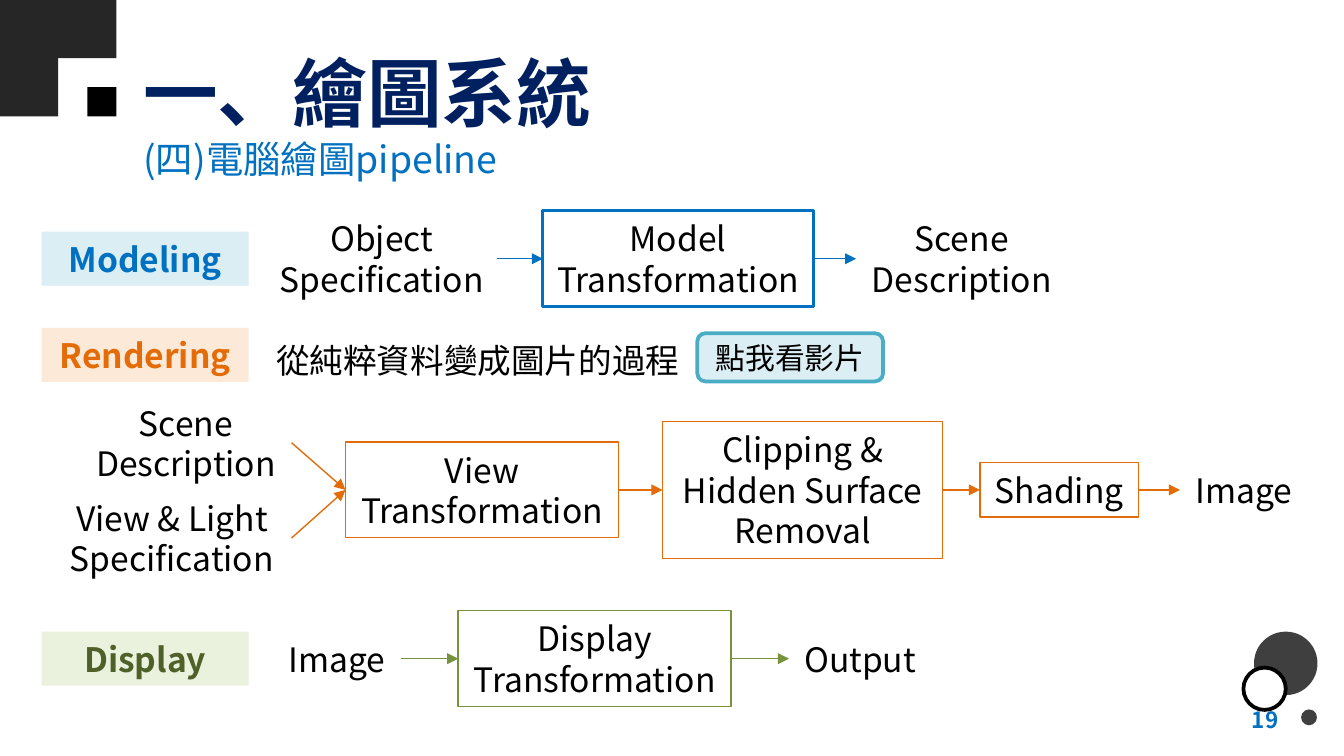
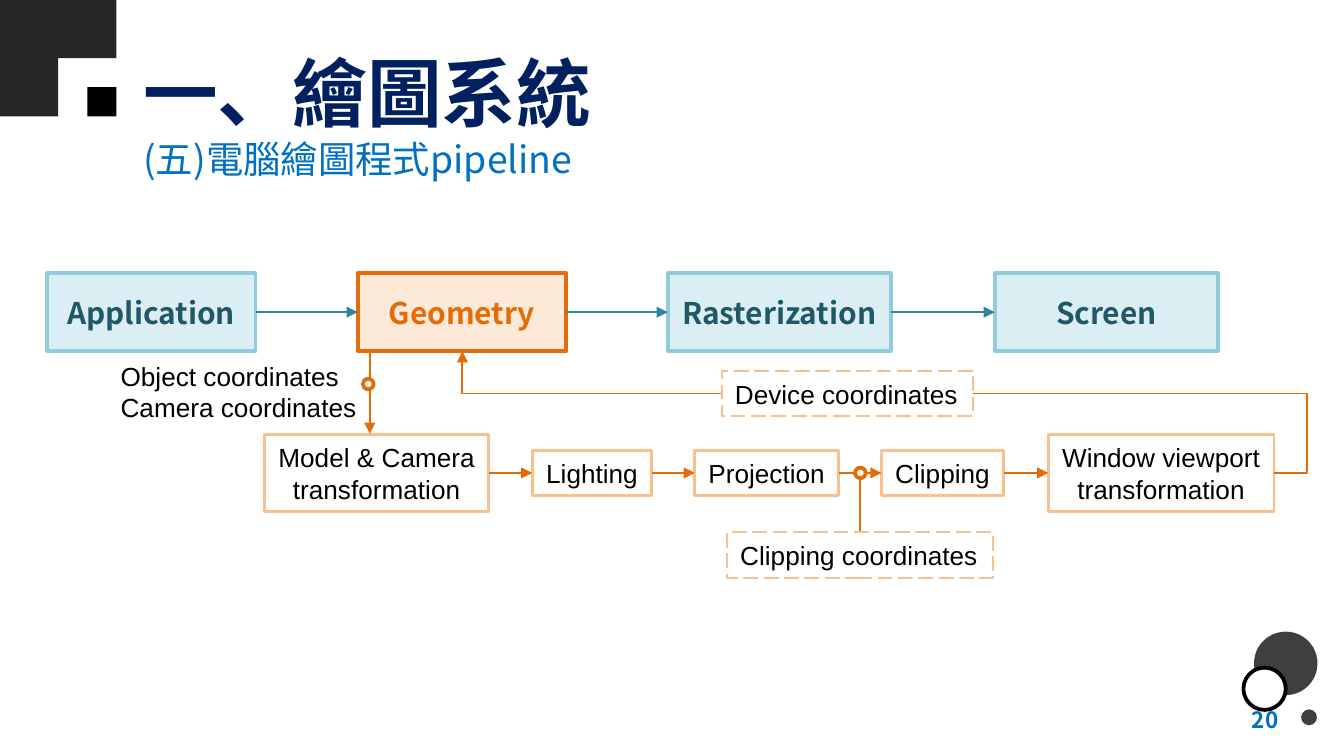
import dataclasses
from typing import NamedTuple, Optional

import pptx
import pptx.dml.color
import pptx.enum.dml
import pptx.enum.shapes
import pptx.enum.text
import pptx.oxml.ns
import pptx.oxml.xmlchemy
import pptx.util
from lxml import etree

Cm, Pt = pptx.util.Cm, pptx.util.Pt
SHAPE = pptx.enum.shapes.MSO_SHAPE
CONNECTOR = pptx.enum.shapes.MSO_CONNECTOR
ALIGN = pptx.enum.text.PP_ALIGN
qn = pptx.oxml.ns.qn


@dataclasses.dataclass(frozen=True)
class Theme:
    cjk: str = "Noto Sans CJK TC"
    cjk_button: str = "Noto Sans CJK SC"
    latin: str = "Arial"
    title_size: float = 40
    subtitle_size: float = 20
    body_size: float = 18
    stage_size: float = 16
    step_size: float = 14
    page_size: float = 12
    navy: str = "002060"
    blue: str = "0070C0"
    black: str = "000000"
    white: str = "FFFFFF"
    block: str = "262626"
    disc: str = "3F3F3F"
    orange: str = "E36C09"
    orange_mid: str = "FABF8E"
    orange_pale: str = "FDE9D8"
    green: str = "76923C"
    green_dark: str = "4F6128"
    green_pale: str = "EAF1DD"
    teal: str = "31859B"
    teal_dark: str = "205867"
    teal_mid: str = "92CCDC"
    teal_pale: str = "DAEEF3"
    button: str = "DBEEF4"
    button_line: str = "4BACC6"


T = Theme()


@dataclasses.dataclass(frozen=True)
class Box:
    """A rectangle in centimetres with optional text, fill and outline."""
    x: float
    y: float
    w: float
    h: float
    text: str = ""
    fill: Optional[str] = None
    line: Optional[str] = None
    width: float = 0.75
    dashed: bool = False
    kind: SHAPE = SHAPE.RECTANGLE
    size: float = T.body_size
    font: str = T.cjk
    color: str = T.black
    bold: bool = False
    align: ALIGN = ALIGN.CENTER
    wrap: bool = False


class Node(NamedTuple):
    """One stop of a left-to-right flow."""
    text: str
    x: float
    w: float
    boxed: bool = True


def rgb(color: str) -> pptx.dml.color.RGBColor:
    return pptx.dml.color.RGBColor.from_string(color)


def draw_text(sp, box: Box) -> None:
    tf = sp.text_frame
    tf.text = box.text
    tf.word_wrap = box.wrap
    tf.vertical_anchor = pptx.enum.text.MSO_ANCHOR.MIDDLE
    for p in tf.paragraphs:
        p.alignment = box.align
        if len(tf.paragraphs) > 1 and box.font == T.cjk:
            p.line_spacing = Pt(1.2 * box.size)
        for r in p.runs:
            r.font.size = Pt(box.size)
            r.font.bold = box.bold
            r.font.color.rgb = rgb(box.color)
            r.font.name = box.font
            etree.SubElement(r.font._element, qn("a:ea"), typeface=box.font)


def draw_box(s, box: Box):
    frame = Cm(box.x), Cm(box.y), Cm(box.w), Cm(box.h)
    if not (box.fill or box.line):
        sp = s.shapes.add_textbox(*frame)
    else:
        sp = s.shapes.add_shape(box.kind, *frame)
        sp.shadow.inherit = False
        if box.fill:
            sp.fill.solid()
            sp.fill.fore_color.rgb = rgb(box.fill)
        else:
            sp.fill.background()
        if box.line:
            sp.line.color.rgb = rgb(box.line)
            sp.line.width = Pt(box.width)
            if box.dashed:
                sp.line.dash_style = pptx.enum.dml.MSO_LINE.LONG_DASH
        else:
            sp.line.fill.background()
    if box.text:
        draw_text(sp, box)
    return sp


def style_line(c, color: str, width: float, end: str) -> None:
    c.line.color.rgb = rgb(color)
    c.line.width = Pt(width)
    props = c._element.spPr
    if end:
        etree.SubElement(props.find(qn("a:ln")), qn("a:" + end), type="triangle")
    etree.SubElement(props, qn("a:effectLst"))


def draw_line(s, x1: float, y1: float, x2: float, y2: float, color: str,
              width: float = 0.75, end: str = "tailEnd") -> None:
    c = s.shapes.add_connector(CONNECTOR.STRAIGHT, Cm(x1), Cm(y1), Cm(x2), Cm(y2))
    style_line(c, color, width, end)


def draw_return(s, x1: float, y1: float, x2: float, y2: float,
                via_x: float, via_y: float, color: str) -> None:
    """Elbow arrow leaving (x2, y2) to the right and rising into (x1, y1)."""
    w, h = y2 - y1, x2 - x1
    left, top = (x1 + x2 - w) / 2, (y1 + y2 - h) / 2
    c = s.shapes.add_connector(CONNECTOR.ELBOW, Cm(left), Cm(top),
                               Cm(left + w), Cm(top + h))
    xfrm = c._element.spPr.find(qn("a:xfrm"))
    xfrm.set("rot", str(270 * 60000))
    xfrm.set("flipH", "1")
    geom = c._element.spPr.find(qn("a:prstGeom"))
    geom.set("prst", "bentConnector4")
    guides = geom.find(qn("a:avLst"))
    if guides is None:
        guides = etree.SubElement(geom, qn("a:avLst"))
    for name, part in (("adj1", (via_y - y1) / w), ("adj2", (via_x - x1) / h)):
        etree.SubElement(guides, qn("a:gd"), name=name, fmla=f"val {round(part * 100000)}")
    style_line(c, color, 1, "headEnd")


def text_height(text: str, font: str) -> float:
    lines = text.count("\n") + 1
    return 0.27 + 0.59 * lines if font == T.latin else 0.25 + 0.78 * lines


def draw_flow(s, nodes: list[Node], cy: float, arrow: str, line: str,
              box_width: float = 0.75, arrow_width: float = 0.75,
              font: str = T.cjk, size: float = T.body_size) -> None:
    """Nodes centred on cy, each joined to the next by an arrow."""
    for n in nodes:
        h = text_height(n.text, font)
        draw_box(s, Box(n.x, cy - h / 2, n.w, h, n.text, line=line if n.boxed else None,
                        width=box_width, font=font, size=size))
    for a, b in zip(nodes, nodes[1:]):
        draw_line(s, a.x + a.w, cy, b.x, cy, arrow, arrow_width)


def draw_dot(s, cx: float, cy: float) -> None:
    draw_box(s, Box(cx - 0.1, cy - 0.1, 0.2, 0.2, fill=T.white, line=T.orange,
                    width=2, kind=SHAPE.OVAL))


def new_slide(prs, subtitle: str, page: int):
    """Blank slide with the shared title, corner blocks, discs and page number."""
    s = prs.slides.add_slide(prs.slide_layouts[6])
    draw_box(s, Box(2.46, 0.53, 11.84, 2.39, "一、繪圖系統", size=T.title_size,
                    color=T.navy, bold=True, align=ALIGN.LEFT, wrap=True))
    block = 1.1
    for col, row in ((0, 0), (1, 0), (0, 1)):
        draw_box(s, Box(col * block, row * block, block, block, fill=T.block))
    draw_box(s, Box(1.5 * block, 1.5 * block, block / 2, block / 2, fill=T.black))
    for x, y, d in ((23.7, 11.94, 1.2), (24.59, 13.41, 0.3)):
        draw_box(s, Box(x, y, d, d, fill=T.disc, kind=SHAPE.OVAL))
    draw_box(s, Box(23.5, 12.62, 0.8, 0.8, fill=T.white, line=T.black, width=2,
                    kind=SHAPE.OVAL))
    draw_box(s, Box(2.46, 2.44, 12, 1.12, subtitle, size=T.subtitle_size,
                    color=T.blue, align=ALIGN.LEFT, wrap=True))
    draw_box(s, Box(18.49, 13.23, 5.92, 0.76, str(page), size=T.page_size,
                    color=T.blue, bold=True, align=ALIGN.RIGHT, wrap=True))
    return s


def build_graphics_pipeline(prs) -> None:
    s = new_slide(prs, "(四)電腦繪圖pipeline", 19)

    # Phase labels
    for text, cy, fill, color in (("Modeling", 4.89, T.teal_pale, T.blue),
                                  ("Rendering", 6.71, T.orange_pale, T.orange),
                                  ("Display", 12.45, T.green_pale, T.green_dark)):
        draw_box(s, Box(0.79, cy - 0.51, 3.91, 1.02, text, fill=fill, color=color, bold=True))

    # Modeling
    draw_flow(s, [Node("Object\nSpecification", 5.03, 4.37, False),
                  Node("Model\nTransformation", 10.26, 5.11),
                  Node("Scene\nDescription", 16.18, 3.99, False)],
              4.89, T.blue, T.blue, box_width=1.5)

    # Rendering
    draw_box(s, Box(4.32, 6.25, 9.42, 1.12, "從純粹資料變成圖片的過程"))
    draw_box(s, Box(13.18, 6.3, 3.51, 0.91, "點我看影片", fill=T.button, line=T.button_line,
                    width=2, kind=SHAPE.ROUNDED_RECTANGLE, size=T.stage_size,
                    font=T.cjk_button))
    cy = 9.26
    view = Node("View\nTransformation", 6.53, 5.16)
    for n, input_cy in ((Node("Scene\nDescription", 1.52, 3.99, False), 8.37),
                        (Node("View & Light\nSpecification", 0.99, 4.52, False), 10.17)):
        draw_flow(s, [n], input_cy, T.orange, T.orange)
        draw_line(s, n.x + n.w, input_cy, view.x, cy, T.orange)
    draw_flow(s, [view,
                  Node("Clipping &\nHidden Surface\nRemoval", 12.52, 5.3),
                  Node("Shading", 18.52, 3),
                  Node("Image", 22.3, 2.41, False)],
              cy, T.orange, T.orange)

    # Display
    draw_flow(s, [Node("Image", 5.16, 2.41, False),
                  Node("Display\nTransformation", 8.66, 5.16),
                  Node("Output", 14.91, 2.69, False)],
              12.45, T.green, T.green)


def build_program_pipeline(prs) -> None:
    s = new_slide(prs, "(五)電腦繪圖程式pipeline", 20)

    # Main stages
    stages = [Node("Application", 0.89, 3.94), Node("Geometry", 6.76, 3.94),
              Node("Rasterization", 12.62, 4.22), Node("Screen", 18.8, 4.22)]
    top, height = 5.16, 1.48
    for n in stages:
        active = n.text == "Geometry"
        fill, line, color = ((T.orange_pale, T.orange, T.orange) if active
                             else (T.teal_pale, T.teal_mid, T.teal_dark))
        draw_box(s, Box(n.x, top, n.w, height, n.text, fill=fill, line=line, width=2,
                        size=T.stage_size, color=color, bold=True))
    for a, b in zip(stages, stages[1:]):
        draw_line(s, a.x + a.w, top + height / 2, b.x, top + height / 2, T.teal, 1)

    # Geometry steps
    cy = 8.94
    steps = [Node("Model & Camera\ntransformation", 5, 4.24), Node("Lighting", 10.06, 2.26),
             Node("Projection", 13.13, 2.72), Node("Clipping", 16.66, 2.31),
             Node("Window viewport\ntransformation", 19.81, 4.27)]
    draw_flow(s, steps, cy, T.orange, T.orange_mid, box_width=1.5, arrow_width=1.5,
              font=T.latin, size=T.step_size)

    # Links between the stage and its steps
    bottom = top + height
    draw_line(s, 6.99, bottom, 6.99, 8.2, T.orange, 1)
    draw_return(s, 8.74, bottom, steps[-1].x + steps[-1].w, cy, 24.71, 7.44, T.orange)
    draw_line(s, 16.26, cy + 0.1, 16.26, 10.06, T.orange, 1, end="")
    draw_dot(s, 6.96, 7.26)
    draw_dot(s, 16.26, cy)

    # Coordinate names
    step_text = dict(font=T.latin, size=T.step_size, align=ALIGN.LEFT)
    dash = dict(line=T.orange_mid, width=1, dashed=True, **step_text)
    draw_box(s, Box(2.03, 6.68, 4.98, 1.45, "Object coordinates\nCamera coordinates",
                    **step_text))
    draw_box(s, Box(13.74, 10.06, 5.03, 0.86, "Clipping coordinates", **dash))
    draw_box(s, Box(13.64, 7.01, 4.75, 0.86, "Device coordinates", fill=T.white, **dash))


def main() -> None:
    prs = pptx.Presentation()
    prs.slide_width, prs.slide_height = Cm(25.4), Cm(14.29)
    build_graphics_pipeline(prs)
    build_program_pipeline(prs)
    prs.save("out.pptx")


if __name__ == "__main__":
    main()
